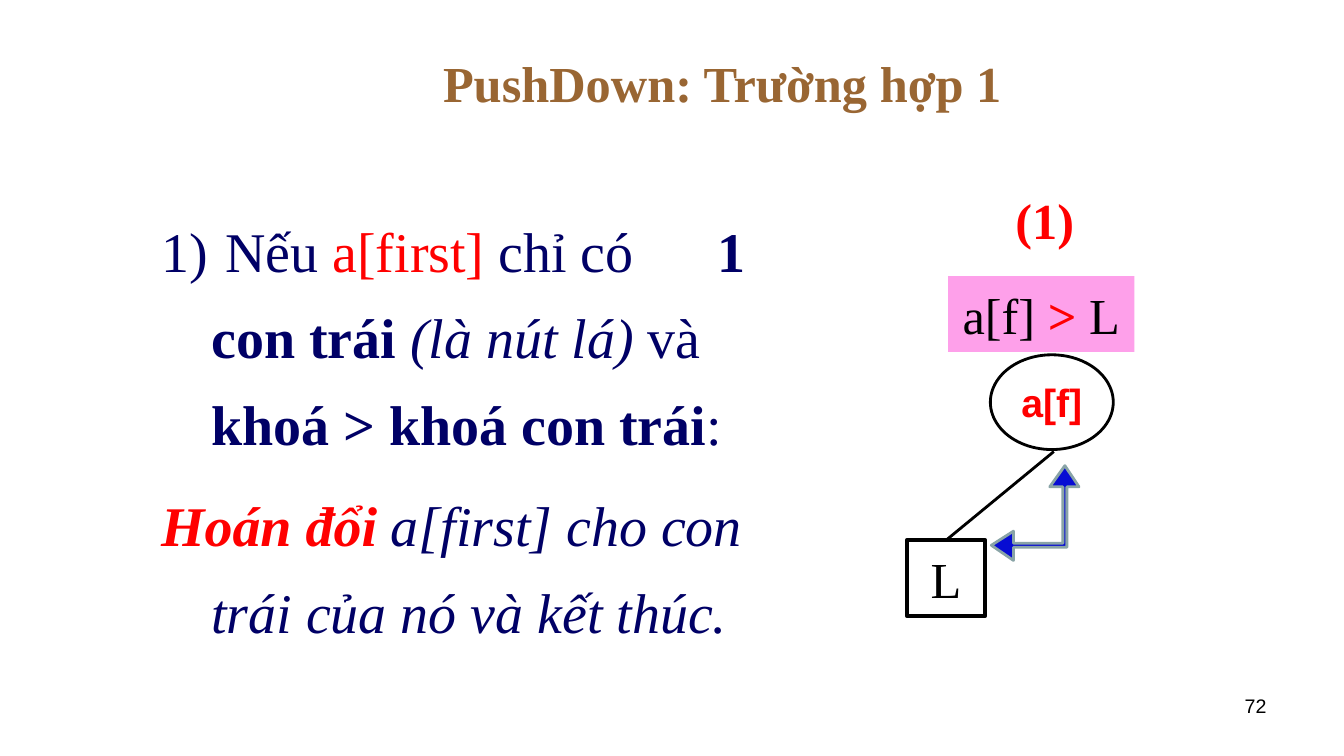
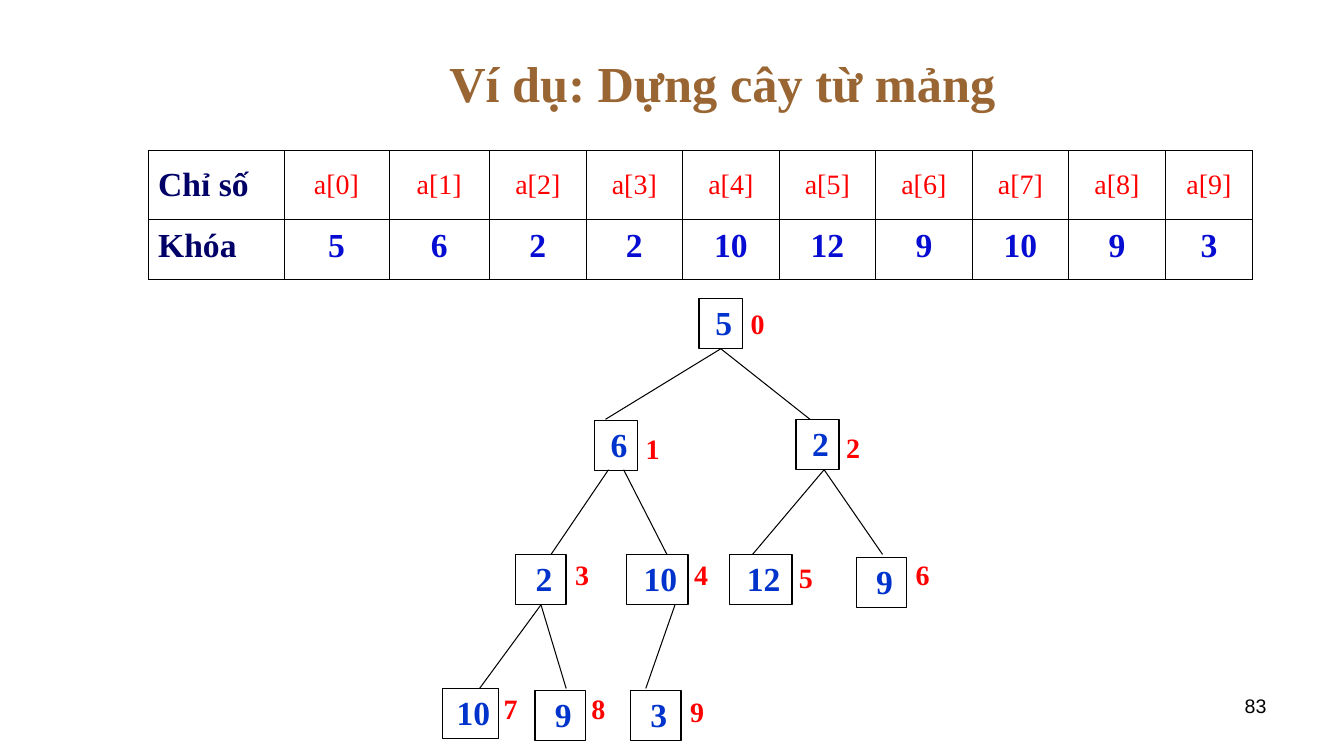
from dataclasses import dataclass

from lxml import etree
from pptx import Presentation
from pptx.dml.color import RGBColor
from pptx.enum.shapes import MSO_CONNECTOR as Connector, MSO_SHAPE as Preset
from pptx.enum.text import MSO_ANCHOR as Anchor, PP_ALIGN as Align
from pptx.oxml.ns import qn
from pptx.util import Inches, Pt

CELL = 0.1  # side of a grid cell in inches
SLIDE_COLUMNS, SLIDE_ROWS = 133.4, 75
SERIF, SANS = "Times New Roman", "Arial"
COLORS = {
    "title": "996633", "navy": "000066", "red": "FF0000", "black": "000000",
    "white": "FFFFFF", "pink": "FEA0EA", "blue": "070CD3", "key": "0033CC",
    "steel": "89A4A7",
}
NORMAL_INSETS = (0.1, 0.05, 0.1, 0.05)
TREE_INSETS = (0.08, 0.01, 0.02, 0.01)


def cells(count):
    return Inches(count * CELL)


def rgb(name):
    return RGBColor.from_string(COLORS[name])


@dataclass
class Box:
    """A region measured in grid columns and rows."""
    left: float
    top: float
    width: float
    height: float

    def inner(self, left, top, width, height):
        return Box(self.left + left, self.top + top, width, height)

    def point(self, column, row):
        return cells(self.left + column), cells(self.top + row)

    def frame(self):
        return [cells(n) for n in (self.left, self.top, self.width, self.height)]


TITLE_BOX = Box(16.7, 3, 110, 10.3)
NUMBER_BOX = Box(95.6, 68.3, 31.1, 5.2)


# Shared text and shape helpers
def add_run(paragraph, text, size, color, bold=False, italic=False, font=SERIF):
    run = paragraph.add_run()
    run.text = text
    run.font.name = font
    run.font.size = Pt(size)
    run.font.bold = bold
    run.font.italic = italic
    run.font.color.rgb = rgb(color)
    return run


def prepare_frame(frame, align, anchor=Anchor.TOP, insets=NORMAL_INSETS, wrap=True):
    frame.word_wrap = wrap
    frame.vertical_anchor = anchor
    frame.margin_left, frame.margin_top, frame.margin_right, frame.margin_bottom = (
        Inches(inset) for inset in insets)
    paragraph = frame.paragraphs[0]
    paragraph.alignment = align
    return paragraph


def add_text(slide, box, align=Align.CENTER, **layout):
    shape = slide.shapes.add_textbox(*box.frame())
    return prepare_frame(shape.text_frame, align, **layout)


def style_shape(shape, fill, line=None, width=1):
    shape.shadow.inherit = False
    shape.fill.solid()
    shape.fill.fore_color.rgb = rgb(fill)
    if line:
        shape.line.color.rgb = rgb(line)
        shape.line.width = Pt(width)
    else:
        shape.line.fill.background()


def add_node(slide, box, preset=Preset.RECTANGLE, fill="white", line="black",
             width=1, **layout):
    shape = slide.shapes.add_shape(preset, *box.frame())
    style_shape(shape, fill, line, width)
    return shape, prepare_frame(shape.text_frame, Align.CENTER, **layout)


def add_line(slide, start, end, width):
    line = slide.shapes.add_connector(Connector.STRAIGHT, *start, *end)
    line.line.color.rgb = rgb("black")
    line.line.width = Pt(width)
    etree.SubElement(line._element.spPr, qn("a:effectLst"))
    return line


def start_slide(presentation, title, number):
    slide = presentation.slides.add_slide(presentation.slide_layouts[6])
    heading = add_text(slide, TITLE_BOX, anchor=Anchor.MIDDLE)
    add_run(heading, title, 36, "title", bold=True)
    add_run(add_text(slide, NUMBER_BOX, Align.RIGHT), number, 14, "black", font=SANS)
    return slide


# Rule text on the case slide
def hang_paragraph(paragraph, numbered):
    properties = paragraph._p.get_or_add_pPr()
    properties.set("marL", str(Inches(1)))
    properties.set("indent", str(Inches(-0.5)))
    if numbered:
        bullet_color = etree.SubElement(properties, qn("a:buClr"))
        etree.SubElement(bullet_color, qn("a:srgbClr"), val=COLORS["navy"])
        etree.SubElement(properties, qn("a:buAutoNum"), type="arabicParenR")
    else:
        etree.SubElement(properties, qn("a:buNone"))
    paragraph.line_spacing = Pt(62)


def add_rule_text(slide, box):
    size = 40
    condition = add_text(slide, box, Align.LEFT)
    hang_paragraph(condition, numbered=True)
    add_run(condition, " Nếu ", size, "navy")
    add_run(condition, "a[first] ", size, "red")
    add_run(condition, "chỉ có", size, "navy")
    wide_space = add_run(condition, " ", size, "navy")
    wide_space._r.get_or_add_rPr().set("spc", "5000")
    add_run(condition, "1 con trái ", size, "navy", bold=True)
    add_run(condition, "(là nút lá) ", size, "navy", italic=True)
    add_run(condition, "và ", size, "navy")
    add_run(condition, "khoá > khoá con trái", size, "navy", bold=True)
    add_run(condition, ":", size, "navy")

    text_body = slide.shapes[-1].text_frame
    action = text_body.add_paragraph()
    action.alignment = Align.LEFT
    hang_paragraph(action, numbered=False)
    action.space_before = Pt(10)
    add_run(action, "Hoán đổi ", size, "red", bold=True, italic=True)
    add_run(action, "a[first] cho con trái của nó và kết thúc.", size, "navy", italic=True)


# Parent, left child and swap arrow
def add_swap_arrow(slide, box):
    outline = [(0, 7.9), (2.2, 6.5), (2.2, 7.7), (7.1, 7.7), (7.1, 2.1), (5.8, 2.1),
               (7.3, 0), (8.7, 2.1), (7.5, 2.1), (7.5, 8.1), (2.2, 8.1), (2.2, 9.4)]
    points = [box.point(*corner) for corner in outline]
    builder = slide.shapes.build_freeform(*points[0], scale=1.0)
    builder.add_line_segments(points[1:], close=True)
    style_shape(builder.convert_to_shape(), "blue", "steel", 2)


def add_swap_diagram(slide, box):
    parent_box = box.inner(8.3, 17.2, 12.2, 9.4)
    _, parent_text = add_node(slide, parent_box, Preset.OVAL, width=2,
                              anchor=Anchor.MIDDLE, wrap=False)
    add_run(parent_text, "a[f]", 28, "red", bold=True, font=SANS)

    child, child_text = add_node(slide, box.inner(0, 35.6, 7.8, 7.5), width=3,
                                 anchor=Anchor.MIDDLE)
    add_run(child_text, "L", 36, "black")
    edge = add_line(slide, box.point(14.6, 26.8), box.point(3.9, 35.6), 2)
    edge.end_connect(child, 0)

    _, test_text = add_node(slide, box.inner(4.1, 9.4, 18.5, 7.5), fill="pink", line=None,
                            anchor=Anchor.MIDDLE)
    add_run(test_text, "a[f] ", 36, "black")
    add_run(test_text, "> ", 36, "red", bold=True)
    add_run(test_text, "L", 36, "black")

    add_swap_arrow(slide, box.inner(8.4, 28.2, 8.7, 9.4))
    caption = add_text(slide, box.inner(8.3, 0, 10.8, 7.5), anchor=Anchor.MIDDLE)
    add_run(caption, "(1)", 36, "red", bold=True)


# Array table
def set_borders(cell, width):
    properties = cell._tc.get_or_add_tcPr()
    for position, side in enumerate(("lnL", "lnR", "lnT", "lnB")):
        border = etree.Element(qn("a:" + side), w=str(Pt(width)))
        fill = etree.SubElement(border, qn("a:solidFill"))
        etree.SubElement(fill, qn("a:srgbClr"), val=COLORS["black"])
        properties.insert(position, border)


def add_array_table(slide, box, keys):
    column_widths = [13.5, 10.4, 10] + [9.58] * 7 + [8.7]
    rows = [["Chỉ số"] + [f"a[{index}]" for index in range(len(keys))],
            ["Khóa"] + keys]
    table = slide.shapes.add_table(len(rows), len(column_widths), *box.frame()).table
    table.first_row = table.horz_banding = False
    for column, width in zip(table.columns, column_widths):
        column.width = cells(width)
    for row, height in zip(table.rows, (6.9, 5.9)):
        row.height = cells(height)

    for row_index, texts in enumerate(rows):
        for column_index, text in enumerate(texts):
            cell = table.cell(row_index, column_index)
            cell.fill.background()
            set_borders(cell, 0.45)
            cell.vertical_anchor = Anchor.MIDDLE
            paragraph = cell.text_frame.paragraphs[0]
            paragraph.alignment = Align.CENTER if column_index else Align.LEFT
            if row_index:
                paragraph.line_spacing = 0.7
            if column_index == 0:
                add_run(paragraph, text, 24, "navy", bold=True)
            elif row_index == 0:
                add_run(paragraph, text, 20, "red")
            else:
                add_run(paragraph, text, 24, "blue", bold=True)


# Binary tree
def add_tree(slide, box, keys):
    # node left, top, width; index label left, top
    places = [
        (29.4, 0.6, 4.3, 33.7, 1.1),
        (19, 12.7, 4.3, 23.3, 13.5), (39, 12.6, 4.3, 43.2, 13.4),
        (11.2, 26, 5, 16.3, 26), (22.2, 26, 6.1, 28.1, 26),
        (32.4, 26, 6.2, 38.5, 26.3), (45, 26.3, 5, 50.1, 26),
        (3.9, 39.3, 5.6, 9.2, 39.3), (13.1, 39.5, 5, 17.9, 39.3),
        (22.6, 39.5, 5, 27.7, 39.6),
    ]
    nodes = []
    for index, (key, place) in enumerate(zip(keys, places)):
        left, top, width, label_left, label_top = place
        node, key_text = add_node(slide, box.inner(left, top, width, 5),
                                  insets=TREE_INSETS, wrap=False)
        key_text.line_spacing = 1.07
        add_run(key_text, key, 24, "key", bold=True)
        nodes.append(node)
        label = add_text(slide, box.inner(label_left, label_top, 4.3, 5), Align.LEFT,
                         insets=TREE_INSETS)
        label.line_spacing = 1.07
        add_run(label, str(index), 20, "red", bold=True)

    # one edge for each child, in index order: start column, row, end column, row
    edges = [
        (31.6, 5.9, 20.1, 12.6), (31.9, 5.9, 40.4, 12.6),
        (20.4, 17.6, 14.7, 26), (21.9, 17.6, 26.2, 26),
        (41.8, 17.6, 34.7, 26), (41.8, 17.6, 47.6, 26),
        (13.3, 31, 7.6, 39.3), (13.3, 31, 16.2, 39.3), (27, 31, 24.1, 39.3),
    ]
    centred_parents = (0, 3)
    for child, (start_column, start_row, end_column, end_row) in enumerate(edges, 1):
        edge = add_line(slide, box.point(start_column, start_row),
                        box.point(end_column, end_row), 0.75)
        parent = (child - 1) // 2
        if parent in centred_parents:
            edge.begin_connect(nodes[parent], 2)


# Slides
def build_case_slide(presentation):
    slide = start_slide(presentation, "PushDown: Trường hợp 1", "72")
    add_rule_text(slide, Box(10, 19, 65.8, 48))
    add_swap_diagram(slide, Box(90, 18, 24, 44))


def build_example_slide(presentation):
    slide = start_slide(presentation, "Ví dụ: Dựng cây từ mảng", "83")
    keys = ["5", "6", "2", "2", "10", "12", "9", "10", "9", "3"]
    add_array_table(slide, Box(14.7, 14.9, 109.2, 12.8), keys)
    add_tree(slide, Box(40, 29, 55, 45), keys)


def main():
    presentation = Presentation()
    presentation.slide_width = cells(SLIDE_COLUMNS)
    presentation.slide_height = cells(SLIDE_ROWS)
    build_case_slide(presentation)
    build_example_slide(presentation)
    presentation.save("out.pptx")


if __name__ == "__main__":
    main()
